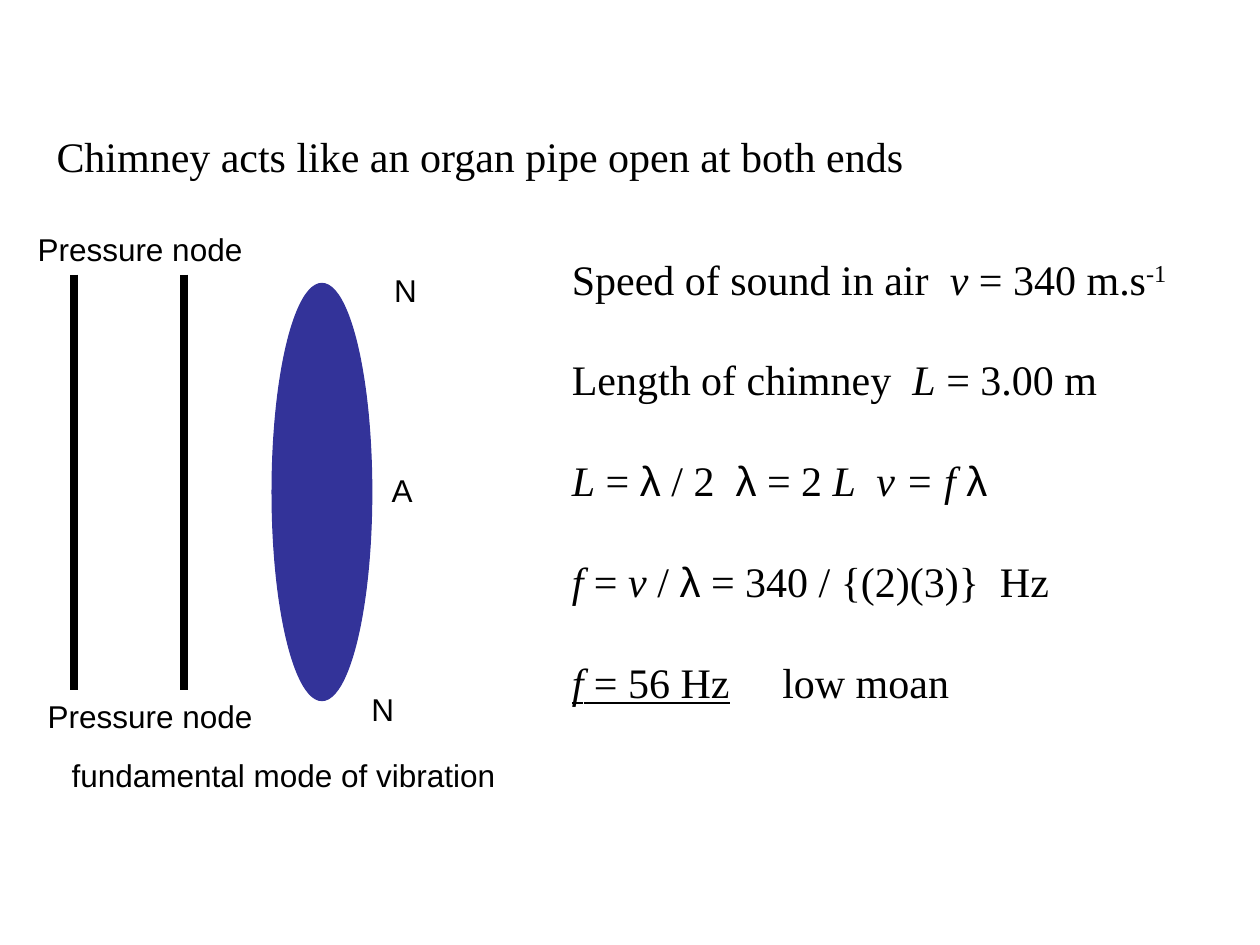
from dataclasses import dataclass

from lxml.etree import SubElement
from pptx import Presentation
from pptx.dml.color import RGBColor
from pptx.enum.shapes import MSO_CONNECTOR, MSO_SHAPE
from pptx.oxml.ns import qn
from pptx.util import Inches, Pt


@dataclass(frozen=True)
class Theme:
    ink: RGBColor = RGBColor(0x00, 0x00, 0x00)
    wave: RGBColor = RGBColor(0x33, 0x33, 0x99)
    body_font: str = "Times New Roman"
    label_font: str = "Arial"
    body_size: float = 24
    label_size: float = 18
    body_line: float = 28.8
    wall_width: float = 4.5


THEME = Theme()

TITLE = ("Chimney acts like an organ pipe open at both ends", (0.35, 0.99, 6.98, 0.5))

LABELS = [  # text, (left, top, width)
    ("Pressure node", (0.2, 1.78, 1.9)),
    ("Pressure node", (0.28, 5.48, 1.9)),
    ("N", (3.03, 2.1, 0.4)),
    ("A", (3.01, 3.69, 0.4)),
    ("N", (2.85, 5.43, 0.4)),
    ("fundamental mode of vibration", (0.47, 5.95, 3.62)),
]
LABEL_HEIGHT = 0.4

# Each span is (text, style): i italic, u underlined, s superscript, g Greek
WORKING = [
    [("Speed of sound in air  ", ""), ("v", "i"), (" = 340 m.s", ""), ("-1", "s")],
    [("Length of chimney  ", ""), ("L", "i"), (" = 3.00 m", "")],
    [("L", "i"), (" = ", ""), ("λ", "g"), (" / 2  ", ""), ("λ", "g"),
     (" = 2 ", ""), ("L  v = f ", "i"), ("λ", "g")],
    [("f", "i"), (" = ", ""), ("v", "i"), (" / ", ""), ("λ", "g"),
     (" = 340 / {(2)(3)}  Hz", "")],
    [("f", "iu"), (" = 56 Hz", "u"), ("\tlow moan", "")],
]
WORKING_AREA = (4.44, 1.96, 4.98, 3.7)
REMARK_TAB = 1.67

CHIMNEY_WALLS = (0.59, 1.46)
CHIMNEY_TOP, CHIMNEY_BOTTOM = 2.18, 5.48
WAVE_AREA = (2.16, 2.25, 0.79, 3.31)


def add_text(page, paragraphs, area, *, font, size, line=None, gap=0, tab=None):
    """Add paragraphs of styled spans; line and gap are in points, tab in inches."""
    box = page.shapes.add_textbox(*map(Inches, area))
    frame = box.text_frame
    frame.word_wrap = False
    for index, spans in enumerate(paragraphs):
        para = frame.paragraphs[0] if index == 0 else frame.add_paragraph()
        if line:
            para.line_spacing = Pt(line)
        if index:
            para.space_before = Pt(gap)
        if tab:
            stops = SubElement(para._p.get_or_add_pPr(), qn("a:tabLst"))
            SubElement(stops, qn("a:tab"), pos=str(Inches(tab)), algn="l")
        for text, style in spans:
            span = para.add_run()
            span.text = text
            span.font.name = THEME.label_font if "g" in style else font
            span.font.size = Pt(size)
            span.font.color.rgb = THEME.ink
            span.font.italic = "i" in style
            span.font.underline = "u" in style
            if "s" in style:
                span.font._element.set("baseline", "30000")


def add_wall(page, x):
    wall = page.shapes.add_connector(
        MSO_CONNECTOR.STRAIGHT,
        Inches(x), Inches(CHIMNEY_TOP), Inches(x), Inches(CHIMNEY_BOTTOM))
    wall.line.color.rgb = THEME.ink
    wall.line.width = Pt(THEME.wall_width)
    SubElement(wall._element.spPr, qn("a:effectLst"))


def add_wave(page):
    wave = page.shapes.add_shape(MSO_SHAPE.OVAL, *map(Inches, WAVE_AREA))
    wave.shadow.inherit = False
    wave.fill.solid()
    wave.fill.fore_color.rgb = THEME.wave
    wave.line.color.rgb = THEME.wave
    wave.line.width = Pt(0.75)


def main():
    deck = Presentation()
    deck.slide_width, deck.slide_height = Inches(10), Inches(7.5)
    page = deck.slides.add_slide(deck.slide_layouts[6])
    body = {"font": THEME.body_font, "size": THEME.body_size, "line": THEME.body_line}

    title, title_area = TITLE
    add_text(page, [[(title, "")]], title_area, **body)
    for x in CHIMNEY_WALLS:
        add_wall(page, x)
    add_wave(page)
    for text, place in LABELS:
        add_text(page, [[(text, "")]], (*place, LABEL_HEIGHT),
                 font=THEME.label_font, size=THEME.label_size)
    add_text(page, WORKING, WORKING_AREA, gap=THEME.body_line, tab=REMARK_TAB, **body)

    deck.save("out.pptx")


if __name__ == "__main__":
    main()
